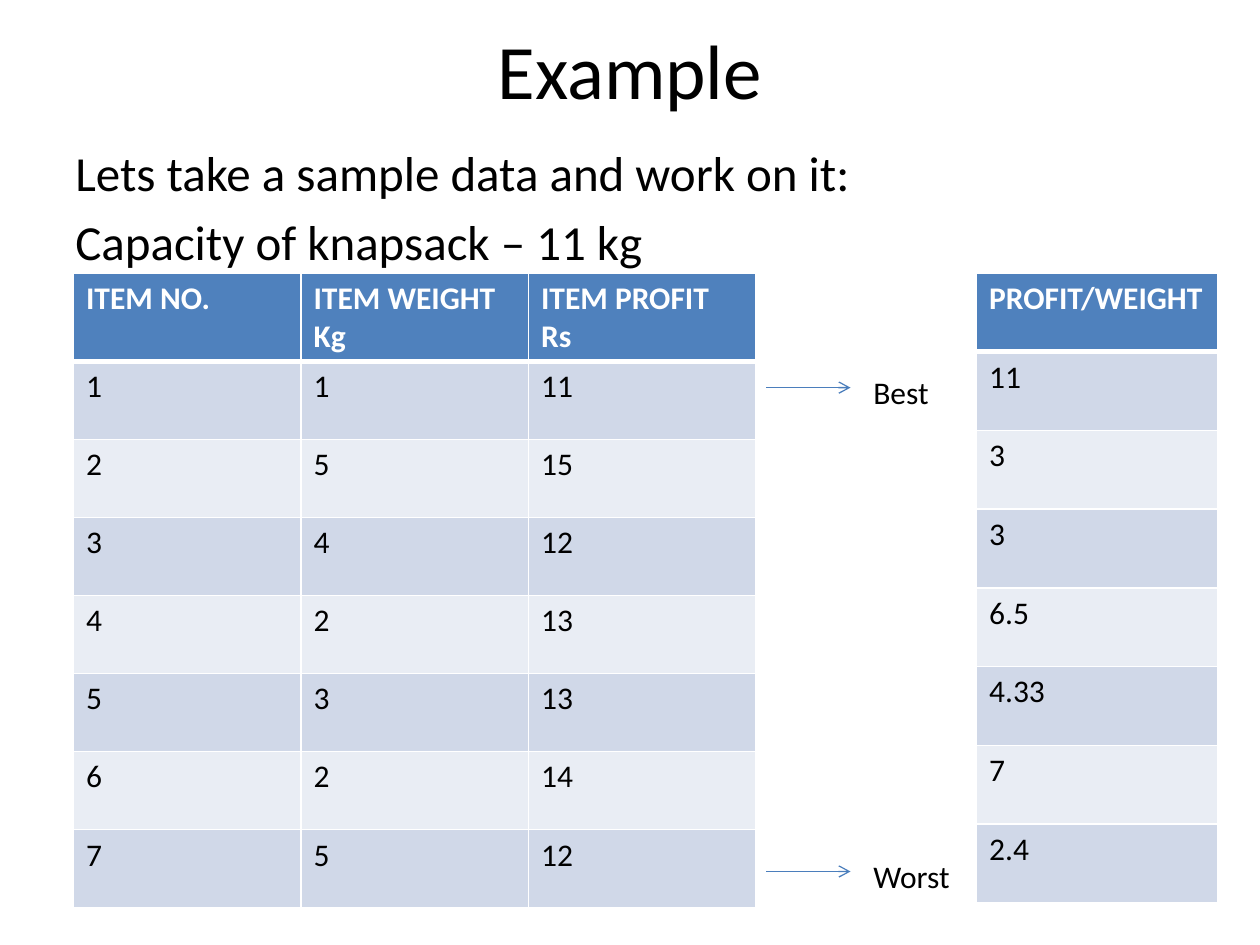
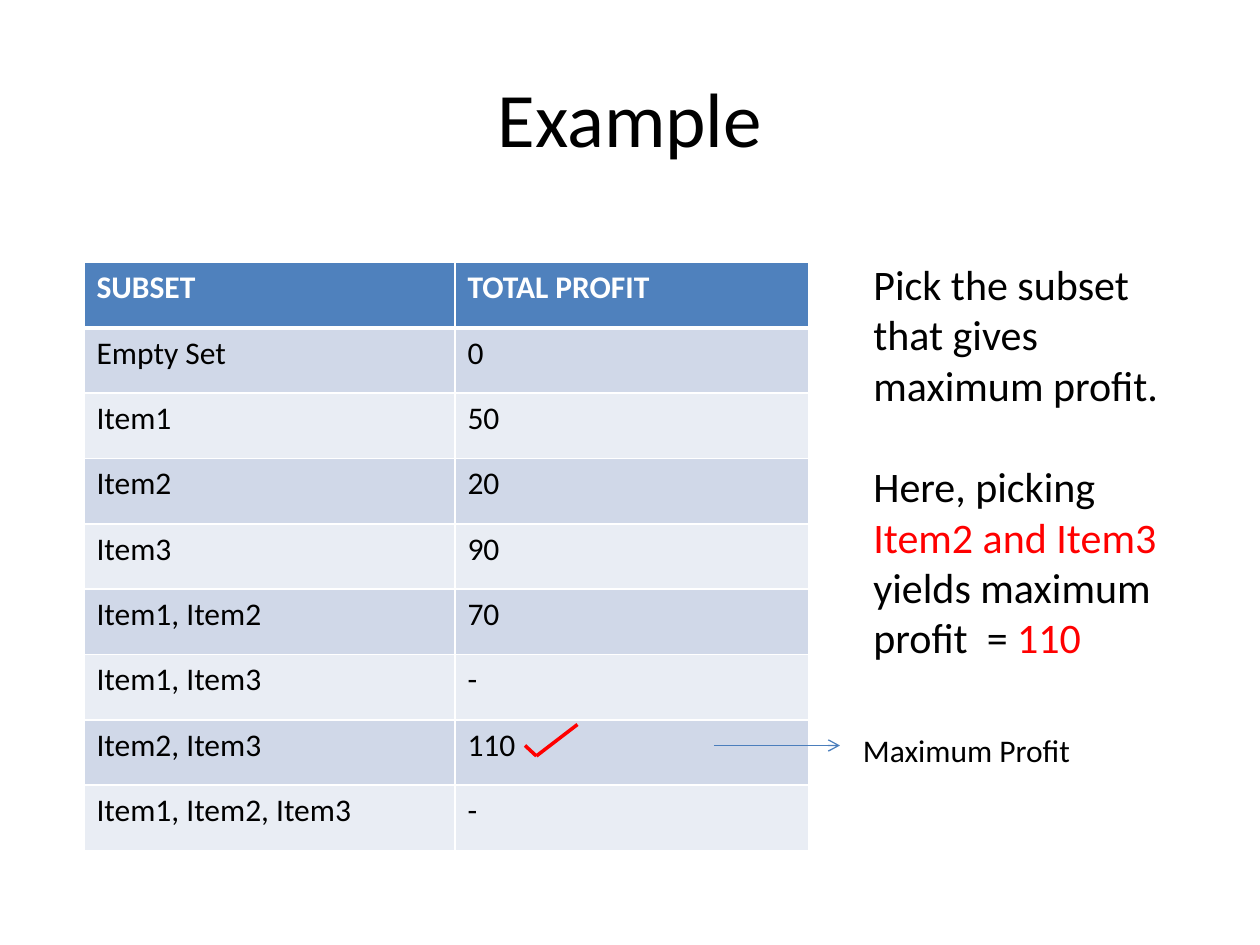
import itertools
from dataclasses import dataclass

import pptx
import pptx.dml.color
import pptx.enum.shapes
import pptx.enum.text
import pptx.oxml.ns
import pptx.util
from lxml import etree

Pt = pptx.util.Pt
RGB = pptx.dml.color.RGBColor.from_string
qn = pptx.oxml.ns.qn


@dataclass(frozen=True)
class Theme:
    """Colours, font and type sizes shared by the slides."""
    font: str = "Calibri"
    text: str = "000000"
    white: str = "FFFFFF"
    header: str = "4F81BD"
    bands: tuple = ("D0D8E8", "E9EDF4")
    arrow: str = "4B7EBC"
    accent: str = "FF0000"
    title: int = 44
    body: int = 28
    note: int = 24
    small: int = 18


THEME = Theme()


def style(font, size, color=THEME.text, bold=False):
    """Set the theme font with a size, colour and weight."""
    font.name, font.size, font.bold = THEME.font, Pt(size), bold
    font.color.rgb = RGB(color)


def add_text(slide, box, paragraphs, size):
    """Place a wrapping text box and return its text frame."""
    tf = slide.shapes.add_textbox(*map(Pt, box)).text_frame
    tf.word_wrap = True
    for i, text in enumerate(paragraphs):
        p = tf.paragraphs[0] if i == 0 else tf.add_paragraph()
        p.text = text
        style(p.font, size)
    return tf


def add_title(slide, top):
    """Place the centred title with its top at the given height."""
    tf = add_text(slide, (36, top, 648, 90), ["Example"], THEME.title)
    tf.vertical_anchor = pptx.enum.text.MSO_ANCHOR.MIDDLE
    tf.paragraphs[0].alignment = pptx.enum.text.PP_ALIGN.CENTER


def add_intro(slide, box, lines):
    """Place the body lines with a hanging indent."""
    tf = add_text(slide, box, lines, THEME.body)
    for p in tf.paragraphs:
        p.space_before = Pt(THEME.body * 0.2)
        pPr = p._p.get_or_add_pPr()
        pPr.set("marL", str(Pt(27)))
        pPr.set("indent", str(Pt(-27)))


def set_borders(cell, top, bottom):
    """Give a cell white borders with the given top and bottom widths."""
    tcPr = cell._tc.get_or_add_tcPr()
    for side, width in (("L", 1), ("R", 1), ("T", top), ("B", bottom)):
        ln = etree.SubElement(tcPr, qn("a:ln" + side), w=str(Pt(width)))
        fill = etree.SubElement(ln, qn("a:solidFill"))
        etree.SubElement(fill, qn("a:srgbClr"), val=THEME.white)


def add_table(slide, box, widths, rows):
    """Place a banded table whose first row is the header."""
    frame = slide.shapes.add_table(len(rows), len(widths), *map(Pt, box))
    table = frame.table
    for col, width in zip(table.columns, widths):
        col.width = Pt(width)
    for i, values in enumerate(rows):
        table.rows[i].height = Pt(box[3] / len(rows))
        header = i == 0
        for j, value in enumerate(values):
            cell = table.cell(i, j)
            cell.text = value
            set_borders(cell, 3 if i == 1 else 1, 3 if header else 1)
            cell.fill.solid()
            cell.fill.fore_color.rgb = RGB(THEME.header if header else THEME.bands[(i - 1) % 2])
            for p in cell.text_frame.paragraphs:
                style(p.font, THEME.small, THEME.white if header else THEME.text, header)


def add_line(slide, start, end, color, width, arrow=False):
    """Draw a straight line, with an open arrowhead if asked."""
    kind = pptx.enum.shapes.MSO_CONNECTOR.STRAIGHT
    line = slide.shapes.add_connector(kind, *map(Pt, start + end))
    line.line.color.rgb = RGB(color)
    line.line.width = Pt(width)
    if arrow:
        etree.SubElement(line.line._get_or_add_ln(), qn("a:tailEnd"), type="arrow")
    etree.SubElement(line._element.spPr, qn("a:effectLst"))


def add_callout(slide, x, y, length, text, width):
    """Draw an arrow to the right with a label beyond its head."""
    end = x + length
    add_line(slide, (x, y), (end, y), THEME.arrow, 0.75, arrow=True)
    add_text(slide, (end + 6, y - 12, width, 29), [text], THEME.small)


def add_check(slide, x, y):
    """Draw a check mark from the tip of its short stroke."""
    points = [(x, y), (x + 6.5, y + 6), (x + 30, y - 12)]
    for start, end in itertools.pairwise(points):
        add_line(slide, start, end, THEME.accent, 2)


def add_conclusion(slide, box):
    """Place the concluding note with its result highlighted."""
    tf = add_text(slide, box, ["Pick the subset that gives maximum profit.", ""], THEME.note)
    p = tf.paragraphs[1]
    p.space_before = Pt(29.3)
    for text, color in (("Here, picking ", THEME.text), ("Item2 and Item3 ", THEME.accent),
                        ("yields maximum profit  = ", THEME.text), ("110", THEME.accent)):
        r = p.add_run()
        r.text = text
        r.font.color.rgb = RGB(color)


def build_items_slide(slide):
    """Build the slide with the sample items and their ratios."""
    add_title(slide, -6)
    add_intro(slide, (36, 78, 648, 356),
              ["Lets take a sample data and work on it:", "Capacity of knapsack – 11 kg"])
    weights = (1, 5, 4, 2, 3, 2, 5)
    profits = (11, 15, 12, 13, 13, 14, 12)
    items = [("ITEM NO.", "ITEM WEIGHT\nKg", "ITEM PROFIT\nRs")]
    ratios = [("PROFIT/WEIGHT",)]
    for number, (weight, profit) in enumerate(zip(weights, profits), 1):
        items.append((str(number), str(weight), str(profit)))
        ratios.append((f"{profit / weight:.3g}",))
    add_table(slide, (42, 156, 390, 357), [130] * 3, items)
    add_callout(slide, 438, 498, 48, "Worst", 60)
    add_callout(slide, 438, 221.5, 48, "Best", 66)
    add_table(slide, (558, 156, 138, 360), [138], ratios)


def build_subsets_slide(slide):
    """Build the slide with the profit of every subset."""
    add_title(slide, 21.6)
    add_table(slide, (48, 150, 414, 336), [212, 202], [
        ("SUBSET", "TOTAL PROFIT"),
        ("Empty Set", "0"),
        ("Item1", "50"),
        ("Item2", "20"),
        ("Item3", "90"),
        ("Item1, Item2", "70"),
        ("Item1, Item3", "-"),
        ("Item2, Item3", "110"),
        ("Item1, Item2, Item3", "-"),
    ])
    add_check(slide, 300, 426)
    add_callout(slide, 408, 426, 72, "Maximum Profit", 144)
    add_conclusion(slide, (492, 144, 180, 240))


def main():
    """Build and save the deck."""
    prs = pptx.Presentation()
    prs.slide_width, prs.slide_height = Pt(720), Pt(540)
    for build in (build_items_slide, build_subsets_slide):
        build(prs.slides.add_slide(prs.slide_layouts[6]))
    prs.save("out.pptx")


main()
